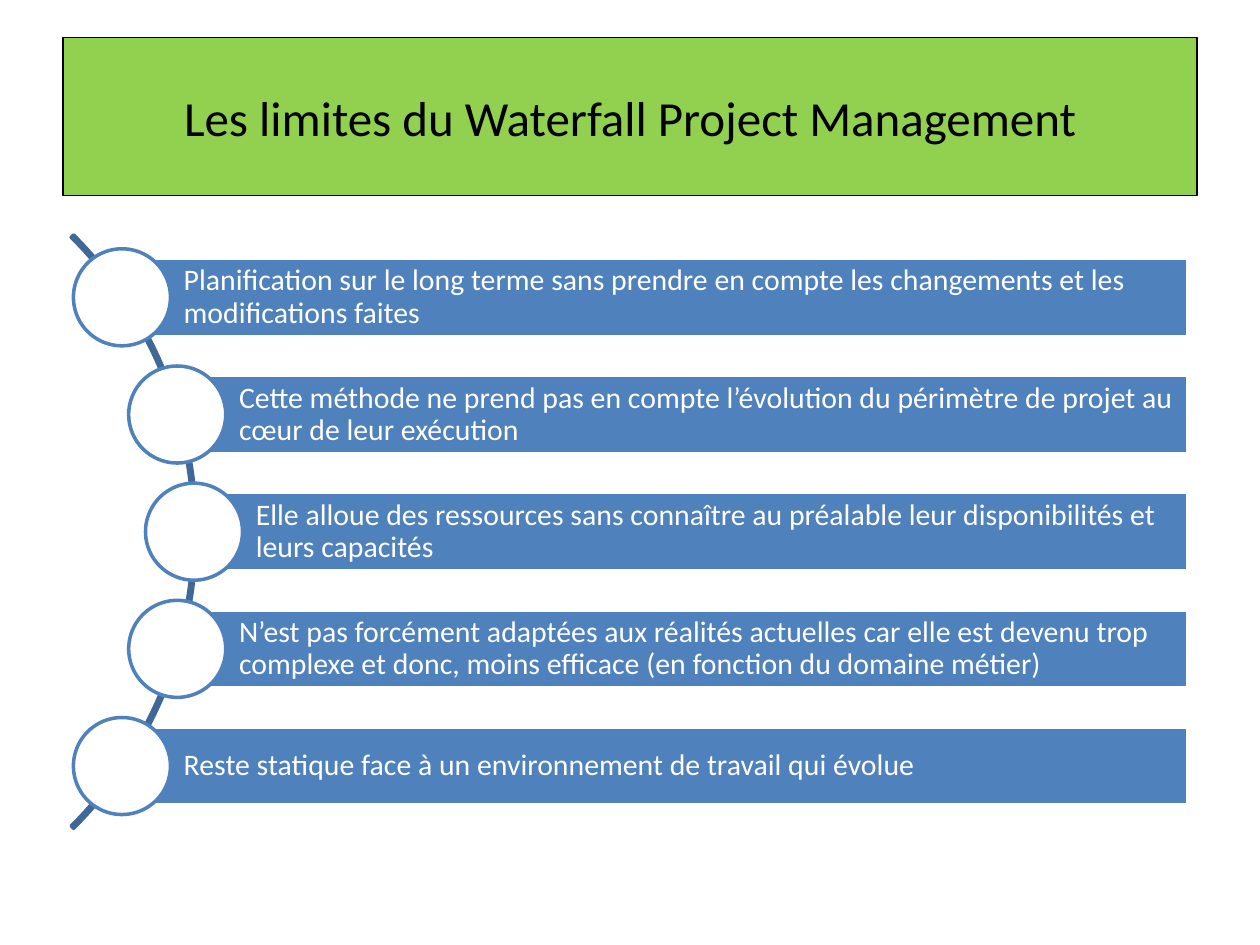
from math import sqrt

from pptx import Presentation
from pptx.dml.color import RGBColor
from pptx.enum.shapes import MSO_SHAPE
from pptx.enum.text import MSO_ANCHOR, MSO_AUTO_SIZE, PP_ALIGN
from pptx.util import Inches, Pt

ARC, BAR, CIRCLE = MSO_SHAPE.BLOCK_ARC, MSO_SHAPE.RECTANGLE, MSO_SHAPE.OVAL
MIDDLE = MSO_ANCHOR.MIDDLE
LEFT, CENTER = PP_ALIGN.LEFT, PP_ALIGN.CENTER
NO_AUTOFIT = MSO_AUTO_SIZE.NONE

GREEN = RGBColor(0x92, 0xD0, 0x50)
BLUE = RGBColor(0x4F, 0x81, 0xBD)
DARK_BLUE = RGBColor(0x3F, 0x67, 0x97)
WHITE = RGBColor(0xFF, 0xFF, 0xFF)
BLACK = RGBColor(0, 0, 0)

FONT = "Calibri"
TITLE = "Les limites du Waterfall Project Management"
LIMITS = [
    "Planification sur le long terme sans prendre en compte les changements et les modifications faites",
    "Cette méthode ne prend pas en compte l’évolution du périmètre de projet au cœur de leur exécution",
    "Elle alloue des ressources sans connaître au préalable leur disponibilités et leurs capacités",
    "N’est pas forcément adaptées aux réalités actuelles car elle est devenu trop complexe et donc, "
    "moins efficace (en fonction du domaine métier)",
    "Reste statique face à un environnement de travail qui évolue",
]

ARC_X, ARC_Y = -1.77, 4.22
ARC_SIZE = 6.66
CENTERS_RADIUS = 3.31
ROW_STEP = 0.93
BAR_RIGHT, BAR_HEIGHT = 9.43, 0.62
CIRCLE_SIZE = 0.77


def style_outline(shape, color, width):
    shape.line.color.rgb = color
    shape.line.width = Pt(width)


def style_fill(shape, color):
    shape.fill.solid()
    shape.fill.fore_color.rgb = color


def write_text(shape, text, size, color, alignment):
    frame = shape.text_frame
    frame.text = text
    frame.word_wrap = True
    frame.auto_size = NO_AUTOFIT
    frame.vertical_anchor = MIDDLE
    paragraph = frame.paragraphs[0]
    paragraph.alignment = alignment
    paragraph.font.name = FONT
    paragraph.font.size = Pt(size)
    paragraph.font.color.rgb = color


def add_outlined_shape(slide, kind, left, top, width, height, line_color):
    shape = slide.shapes.add_shape(
        kind, Inches(left), Inches(top), Inches(width), Inches(height))
    shape.shadow.inherit = False
    style_outline(shape, line_color, 2)
    return shape


def format_title(slide):
    title = slide.shapes.title
    title.left, title.top = Inches(0.5), Inches(0.3)
    title.width, title.height = Inches(9), Inches(1.25)
    style_fill(title, GREEN)
    style_outline(title, BLACK, 0.75)
    write_text(title, TITLE, 28, BLACK, CENTER)


def add_arc(slide):
    arc = add_outlined_shape(slide, ARC, ARC_X - ARC_SIZE / 2, ARC_Y - ARC_SIZE / 2,
                             ARC_SIZE, ARC_SIZE, DARK_BLUE)
    arc.fill.background()
    # Angles in units of 100000/60000 degree: from 315 to 45 degrees
    for index, value in enumerate((189, 27, 0.004)):
        arc.adjustments[index] = value


def add_limit(slide, text, center_x, center_y):
    """Add a text bar that starts at the centre of its circle."""
    bar = add_outlined_shape(slide, BAR, center_x, center_y - BAR_HEIGHT / 2,
                             BAR_RIGHT - center_x, BAR_HEIGHT, WHITE)
    style_fill(bar, BLUE)
    write_text(bar, text, 17, WHITE, LEFT)
    frame = bar.text_frame
    frame.margin_left = Inches(0.49)
    frame.margin_top = frame.margin_right = frame.margin_bottom = Inches(0.05)
    frame.paragraphs[0].line_spacing = 0.9

    circle = add_outlined_shape(slide, CIRCLE, center_x - CIRCLE_SIZE / 2,
                                center_y - CIRCLE_SIZE / 2,
                                CIRCLE_SIZE, CIRCLE_SIZE, BLUE)
    style_fill(circle, WHITE)


def main():
    presentation = Presentation()
    presentation.slide_width, presentation.slide_height = Inches(10), Inches(7.5)
    slide = presentation.slides.add_slide(presentation.slide_layouts[5])
    format_title(slide)
    add_arc(slide)
    for row, text in enumerate(LIMITS):
        offset = (row - (len(LIMITS) - 1) / 2) * ROW_STEP
        center_x = ARC_X + sqrt(CENTERS_RADIUS ** 2 - offset ** 2)
        add_limit(slide, text, center_x, ARC_Y + offset)
    presentation.save("out.pptx")


if __name__ == "__main__":
    main()
